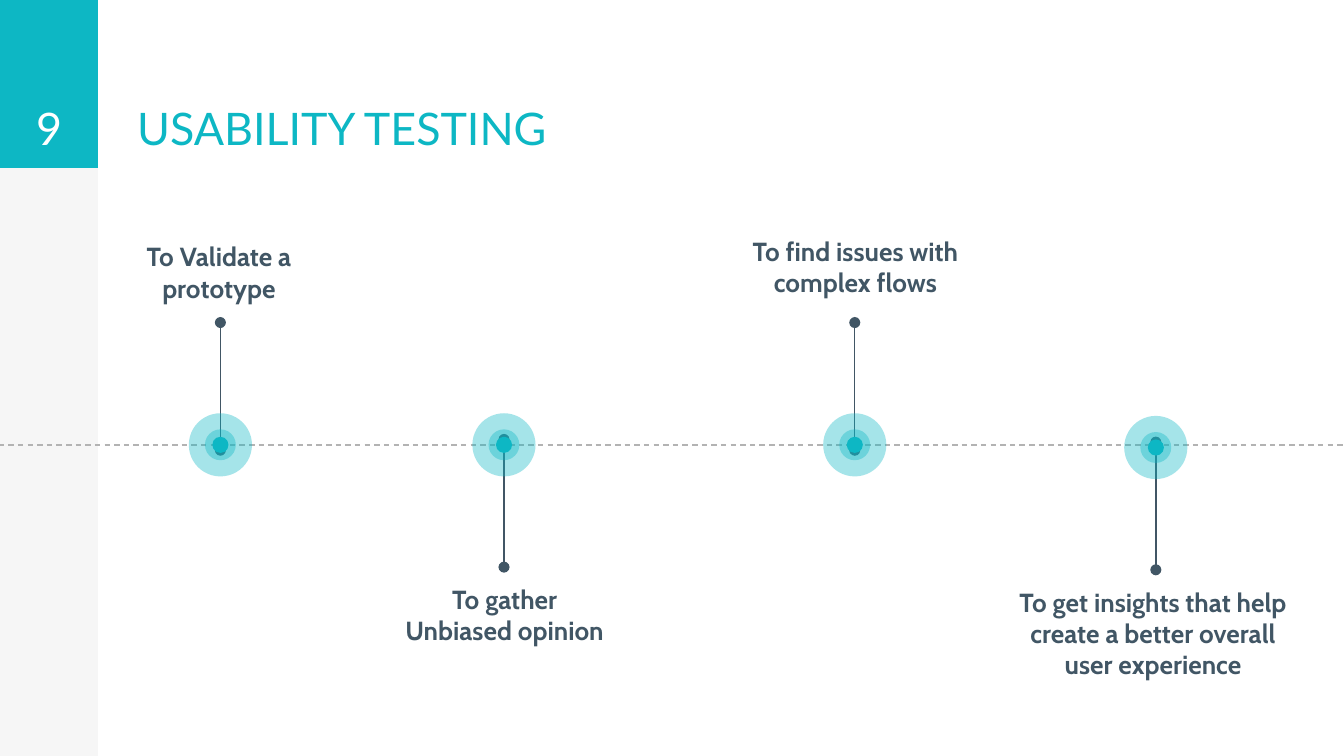
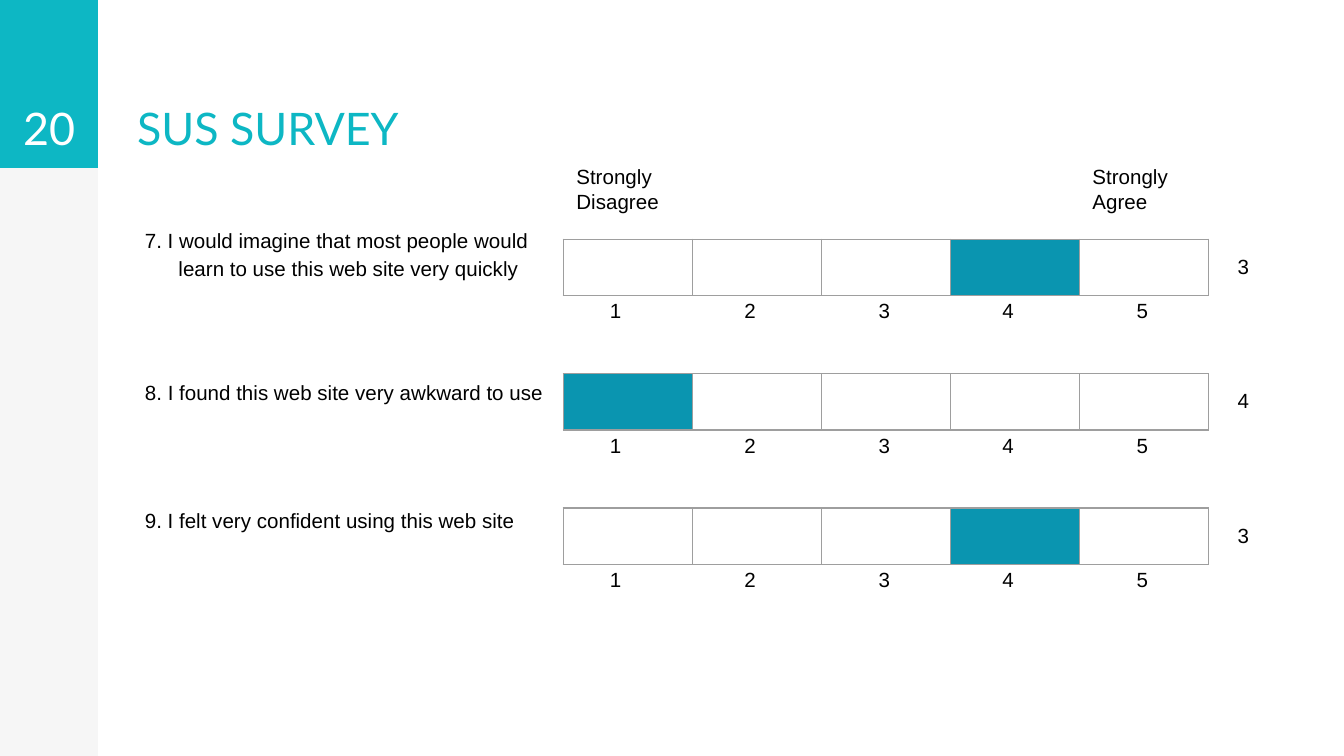
from collections import namedtuple

from lxml import etree
from pptx import Presentation
from pptx.dml.color import RGBColor
from pptx.enum.dml import MSO_LINE
from pptx.enum.shapes import MSO_CONNECTOR, MSO_SHAPE
from pptx.enum.text import MSO_ANCHOR, MSO_AUTO_SIZE, PP_ALIGN
from pptx.oxml.ns import qn
from pptx.util import Inches, Pt

RECTANGLE, OVAL = MSO_SHAPE.RECTANGLE, MSO_SHAPE.OVAL
STRAIGHT, DASH = MSO_CONNECTOR.STRAIGHT, MSO_LINE.DASH
TOP, BOTTOM = MSO_ANCHOR.TOP, MSO_ANCHOR.BOTTOM
LEFT, CENTER = PP_ALIGN.LEFT, PP_ALIGN.CENTER
NO_AUTOSIZE = MSO_AUTO_SIZE.NONE

SLIDE_W = 10
SLIDE_H = SLIDE_W * 9 / 16
BAND_W, BAND_H = 0.73, 1.25
TITLE_ONLY = 5
TEAL, DEEP_TEAL, SLATE = "0DB7C4", "0A95B0", "415665"
PALE, GREY, BORDER = "F6F6F6", "B3B3B3", "9E9E9E"
WHITE, BLACK = "FFFFFF", "000000"

Style = namedtuple("Style", "font size color bold align anchor")
TITLE = Style("Lato", 24, TEAL, False, LEFT, BOTTOM)
NUMBER = Style("Lato", 24, WHITE, False, CENTER, BOTTOM)
LABEL = Style("Cabin", 14, SLATE, True, CENTER, TOP)
BODY = Style("Arial", 11, BLACK, False, LEFT, TOP)

Stop = namedtuple("Stop", "x y direction label label_box")
STOPS = [
    Stop(1.64, 3.31, -1, "To Validate a prototype", (0.95, 1.69, 1.36, 0.45)),
    Stop(3.75, 3.31, 1, "To gather Unbiased opinion", (2.86, 4.24, 1.79, 0.85)),
    Stop(6.36, 3.31, -1, "To find issues with complex flows", (5.39, 1.65, 1.95, 0.71)),
    Stop(8.6, 3.33, 1, "To get insights that help create a better overall user experience",
         (7.41, 4.26, 2.34, 1.09)),
]
RINGS = [(0.47, 37), (0.23, 37), (0.12, 100)]

Question = namedtuple("Question", "text box spaced hanging answer score")
QUESTIONS = [
    Question("7. I would imagine that most people would learn to use this web site very quickly",
             (0.73, 1.57, 3.37, 0.89), True, True, 4, "3"),
    Question("8. I found this web site very awkward to use",
             (0.98, 2.73, 3.22, 0.45), False, False, 1, "4"),
    Question("9. I felt very confident using this web site",
             (0.98, 3.65, 3.04, 0.69), True, False, 4, "3"),
]
SCALE_LEFT, SCALE_TOP, SCALE_PITCH = 4.19, 1.78, 1
CELL_W, CELL_H = 0.96, 0.42
MARK_OFFSETS = [0.25, 1.25, 2.25, 3.17, 4.17]


def rgb(color):
    """Turn a hex string into a colour."""
    return RGBColor.from_string(color)


def inches(*lengths):
    """Convert several lengths to inches."""
    return [Inches(length) for length in lengths]


def write(shape, lines, style):
    """Fill a text shape with one paragraph per line and return its frame."""
    frame = shape.text_frame
    frame.word_wrap = True
    frame.auto_size = NO_AUTOSIZE
    frame.vertical_anchor = style.anchor
    frame.margin_left = frame.margin_right = Inches(0.1)
    frame.margin_top = frame.margin_bottom = Inches(0.1)
    for index, line in enumerate(lines):
        paragraph = frame.add_paragraph() if index else frame.paragraphs[0]
        paragraph.alignment = style.align
        run = paragraph.add_run()
        run.text = line
        run.font.name = style.font
        run.font.size = Pt(style.size)
        run.font.bold = style.bold
        run.font.color.rgb = rgb(style.color)
    return frame


def add_text(slide, box, lines, style):
    """Add a text box and return its frame."""
    return write(slide.shapes.add_textbox(*inches(*box)), lines, style)


def add_filled(shapes, preset, box, color, opacity=100):
    """Add a borderless preset shape with a solid fill."""
    shape = shapes.add_shape(preset, *inches(*box))
    shape.shadow.inherit = False
    shape.line.fill.background()
    shape.fill.solid()
    shape.fill.fore_color.rgb = rgb(color)
    if opacity < 100:
        tint = shape.fill._xPr.find(qn("a:solidFill"))[0]
        etree.SubElement(tint, qn("a:alpha"), val=str(opacity * 1000))


def add_line(slide, start, end, color, dashed=False, dotted_ends=False):
    """Add a thin straight line, dashed or with round ends on request."""
    connector = slide.shapes.add_connector(STRAIGHT, *inches(*start, *end))
    connector.line.color.rgb = rgb(color)
    connector.line.width = Pt(0.75)
    if dashed:
        connector.line.dash_style = DASH
    if dotted_ends:
        outline = connector.line._get_or_add_ln()
        for tag in ("a:headEnd", "a:tailEnd"):
            etree.SubElement(outline, qn(tag), type="oval")
    etree.SubElement(connector._element.spPr, qn("a:effectLst"))


def add_base_slide(deck, title, number):
    """Add a slide with the side bands, its number and its title."""
    slide = deck.slides.add_slide(deck.slide_layouts[TITLE_ONLY])
    add_filled(slide.shapes, RECTANGLE, (0, 0, BAND_W, SLIDE_H), PALE)
    add_filled(slide.shapes, RECTANGLE, (0, 0, BAND_W, BAND_H), TEAL)
    heading = slide.shapes.title
    heading.left, heading.top, heading.width, heading.height = inches(0.92, 0, 3.89, BAND_H)
    write(heading, [title], TITLE)
    add_text(slide, (0, 0, BAND_W, BAND_H), [number], NUMBER)
    return slide


def add_stop(slide, stop):
    """Add a timeline stop: pin, label and concentric marker."""
    pin_start = stop.y - stop.direction * 0.04
    pin_end = stop.y + stop.direction * 0.91
    add_line(slide, (stop.x, pin_start), (stop.x, pin_end), SLATE, dotted_ends=True)
    add_text(slide, stop.label_box, [stop.label], LABEL)
    marker = slide.shapes.add_group_shape()
    for size, opacity in RINGS:
        ring_box = (stop.x - size / 2, stop.y - size / 2, size, size)
        add_filled(marker.shapes, OVAL, ring_box, TEAL, opacity)


def add_timeline_slide(deck):
    """Add the slide with the reasons for usability testing."""
    slide = add_base_slide(deck, "USABILITY TESTING", "9")
    add_line(slide, (-0.01, 3.31), (10.01, 3.31), GREY, dashed=True)
    for stop in STOPS:
        add_stop(slide, stop)


def outline_cell(cell):
    """Draw a thin border on every side of a table cell."""
    properties = cell._tc.get_or_add_tcPr()
    for side in ("a:lnL", "a:lnR", "a:lnT", "a:lnB"):
        edge = etree.SubElement(properties, qn(side), w=str(Pt(0.75)))
        fill = etree.SubElement(edge, qn("a:solidFill"))
        etree.SubElement(fill, qn("a:srgbClr"), val=BORDER)


def add_scale(slide, left, top, answer, score):
    """Add a five-step answer scale with its marks and score."""
    steps = len(MARK_OFFSETS)
    frame = slide.shapes.add_table(1, steps, *inches(left, top, CELL_W * steps, CELL_H))
    table = frame.table
    table.first_row = table.horz_banding = False
    for step, cell in enumerate(table.iter_cells(), 1):
        outline_cell(cell)
        if step == answer:
            cell.fill.solid()
            cell.fill.fore_color.rgb = rgb(DEEP_TEAL)
        else:
            cell.fill.background()
    for step, offset in enumerate(MARK_OFFSETS, 1):
        add_text(slide, (left + offset, top + 0.34, 0.73, 0.42), [str(step)], BODY)
    add_text(slide, (left + 4.92, top + 0.01, 0.73, 0.42), [score], BODY)


def add_question(slide, question):
    """Add the wording of one survey question."""
    paragraph = add_text(slide, question.box, [question.text], BODY).paragraphs[0]
    if question.spaced:
        paragraph.line_spacing = 1.15
        paragraph.space_before = Pt(12)
    if question.hanging:
        properties = paragraph._p.get_or_add_pPr()
        properties.set("marL", str(Inches(0.5)))
        properties.set("indent", str(Inches(-0.25)))


def add_survey_slide(deck):
    """Add the slide with the survey questions and answers."""
    slide = add_base_slide(deck, "SUS SURVEY", "20")
    for offset, ending in ((0, "Disagree"), (4 * CELL_W, "Agree")):
        add_text(slide, (SCALE_LEFT + offset, 1.12, 1.22, 0.45), ["Strongly", ending], BODY)
    for row, question in enumerate(QUESTIONS):
        add_question(slide, question)
        add_scale(slide, SCALE_LEFT, SCALE_TOP + row * SCALE_PITCH,
                  question.answer, question.score)


def main():
    """Build and save the deck."""
    deck = Presentation()
    deck.slide_width, deck.slide_height = inches(SLIDE_W, SLIDE_H)
    add_timeline_slide(deck)
    add_survey_slide(deck)
    deck.save("out.pptx")


if __name__ == "__main__":
    main()
